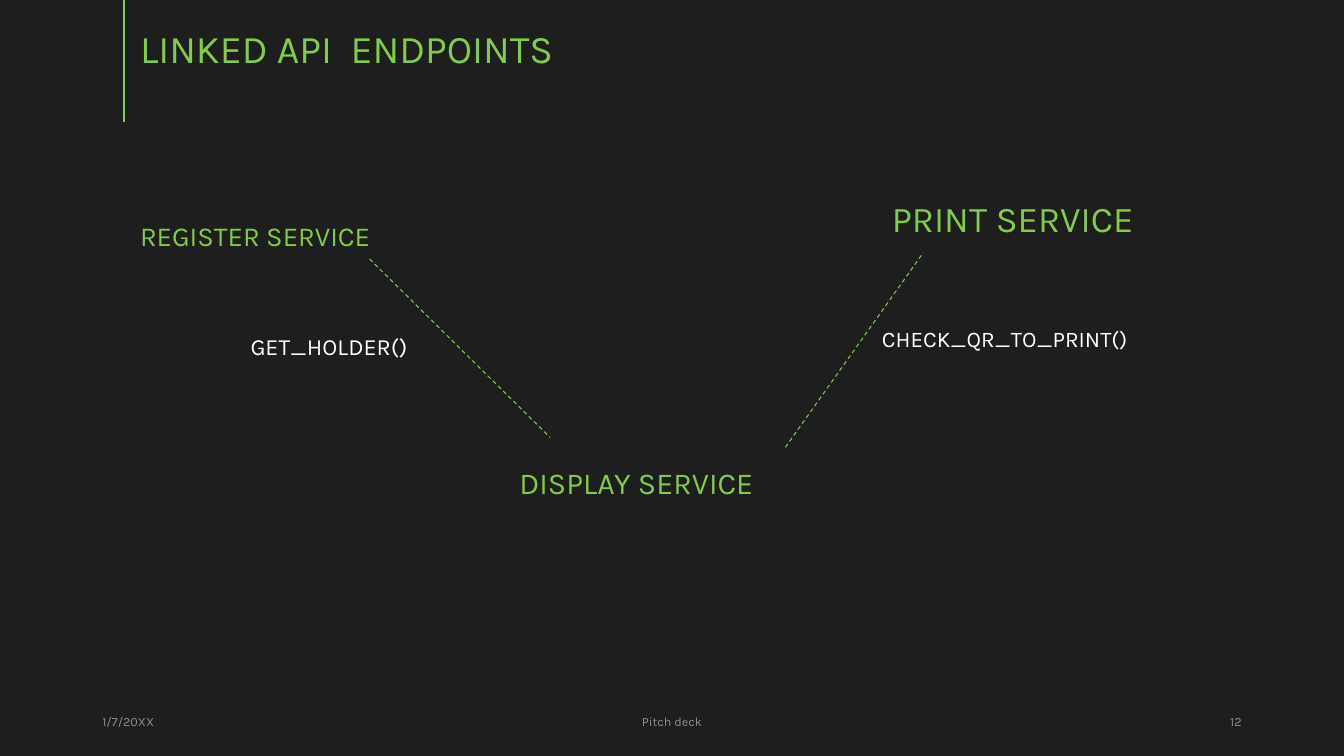
from lxml import etree
from pptx import Presentation
from pptx.dml.color import RGBColor
from pptx.enum.dml import MSO_LINE
from pptx.enum.shapes import MSO_CONNECTOR
from pptx.enum.text import MSO_ANCHOR, PP_ALIGN
from pptx.oxml.ns import qn
from pptx.util import Pt

STRAIGHT = MSO_CONNECTOR.STRAIGHT
DASH = MSO_LINE.DASH
MIDDLE = MSO_ANCHOR.MIDDLE
LEFT, CENTER, RIGHT = PP_ALIGN.LEFT, PP_ALIGN.CENTER, PP_ALIGN.RIGHT

FONT = "Karla"
DARK, GREEN, WHITE, GRAY = "1E1E1E", "81CC48", "FFFFFF", "8E8E8E"


def add_text(text, box, size, color, spacing=0.9, align=LEFT, inset=0):
    """Add a vertically centred one-line text box."""
    sp = s.shapes.add_textbox(*[Pt(v) for v in box])
    tf = sp.text_frame
    tf.word_wrap = True
    tf.vertical_anchor = MIDDLE
    tf.margin_left = Pt(inset)
    p = tf.paragraphs[0]
    p.alignment = align
    p.line_spacing = spacing
    r = p.add_run()
    r.text = text
    r.font.name = FONT
    r.font.size = Pt(size)
    r.font.color.rgb = RGBColor.from_string(color)


def add_line(x1, y1, x2, y2, width, dash=None):
    """Add a straight green line without a shadow."""
    sp = s.shapes.add_connector(STRAIGHT, Pt(x1), Pt(y1), Pt(x2), Pt(y2))
    sp.line.color.rgb = RGBColor.from_string(GREEN)
    sp.line.width = Pt(width)
    if dash:
        sp.line.dash_style = dash
    etree.SubElement(sp._element.spPr, qn("a:effectLst"))


prs = Presentation()
prs.slide_width, prs.slide_height = Pt(960), Pt(540)
s = prs.slides.add_slide(prs.slide_layouts[6])
s.background.fill.solid()
s.background.fill.fore_color.rgb = RGBColor.from_string(DARK)

# Title with its accent line
add_line(88.5, 0, 88.5, 87, 1.5)
add_text("LINKED API  ENDPOINTS", (100, 0, 760, 72.5), 28, GREEN)

# Footer
for text, left, width, align in [
    ("1/7/20XX", 66, 216, LEFT),
    ("Pitch deck", 318, 324, CENTER),
    ("12", 678, 216, RIGHT),
]:
    add_text(text, (left, 500.5, width, 29), 9, GRAY, 1, align, 7.2)

# Services
for text, left, top, size, spacing in [
    ("REGISTER SERVICE", 100, 152, 19.6, 0.7),
    ("PRINT SERVICE", 637, 139, 25.9, 0.9),
    ("DISPLAY SERVICE", 371, 329, 21.7, 0.7),
]:
    add_text(text, (left, top, 217, 38), size, GREEN, spacing)

# Links between the services and the endpoints they call
add_line(264, 185, 393, 312.5, 0.75, DASH)
add_line(561, 319.5, 659.5, 180.5, 0.75, DASH)
add_text("GET_HOLDER()", (179, 229.5, 139, 38), 16.6, WHITE)
add_text("CHECK_QR_TO_PRINT()", (630, 213, 217, 60.5), 16, WHITE)

prs.save("out.pptx")
